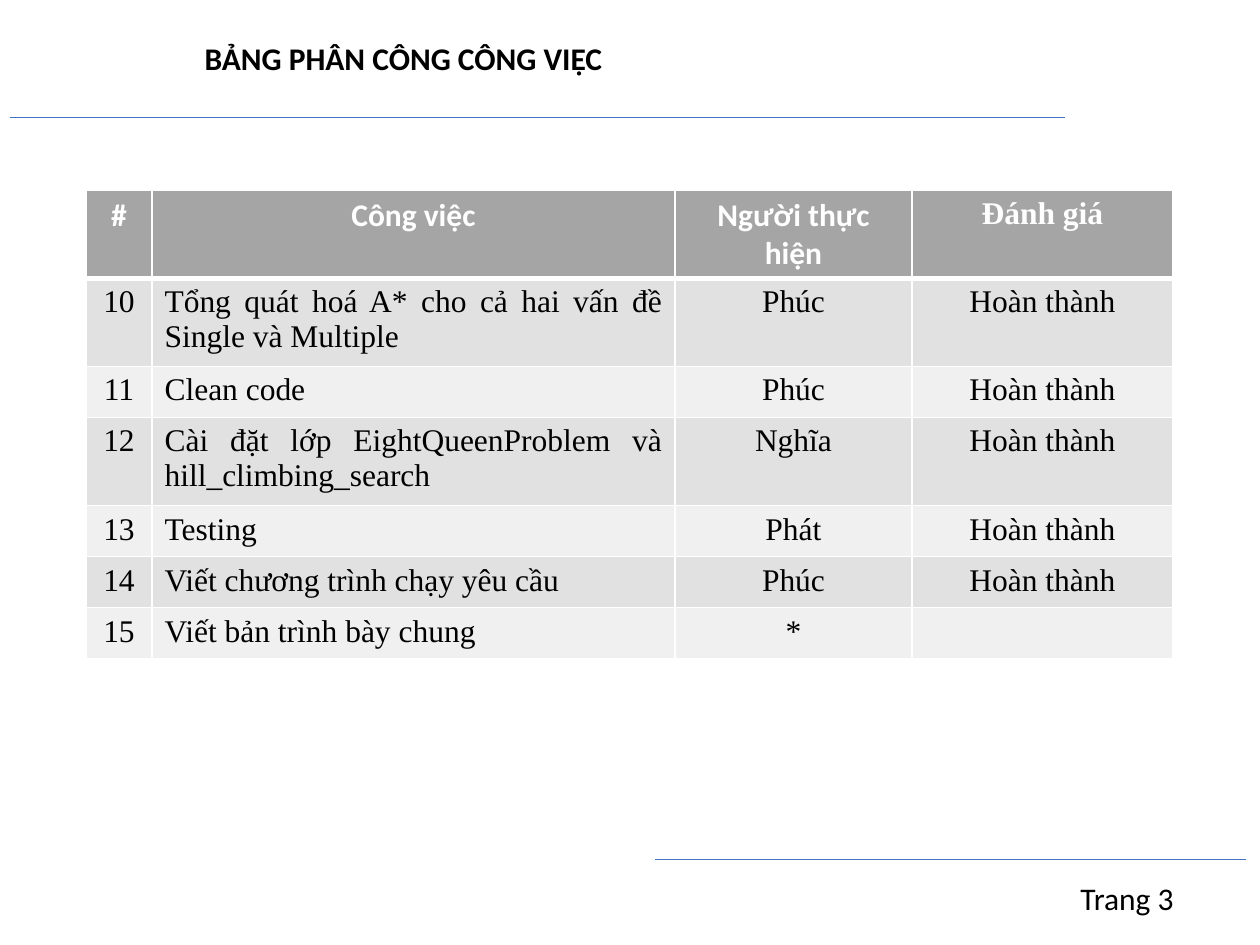
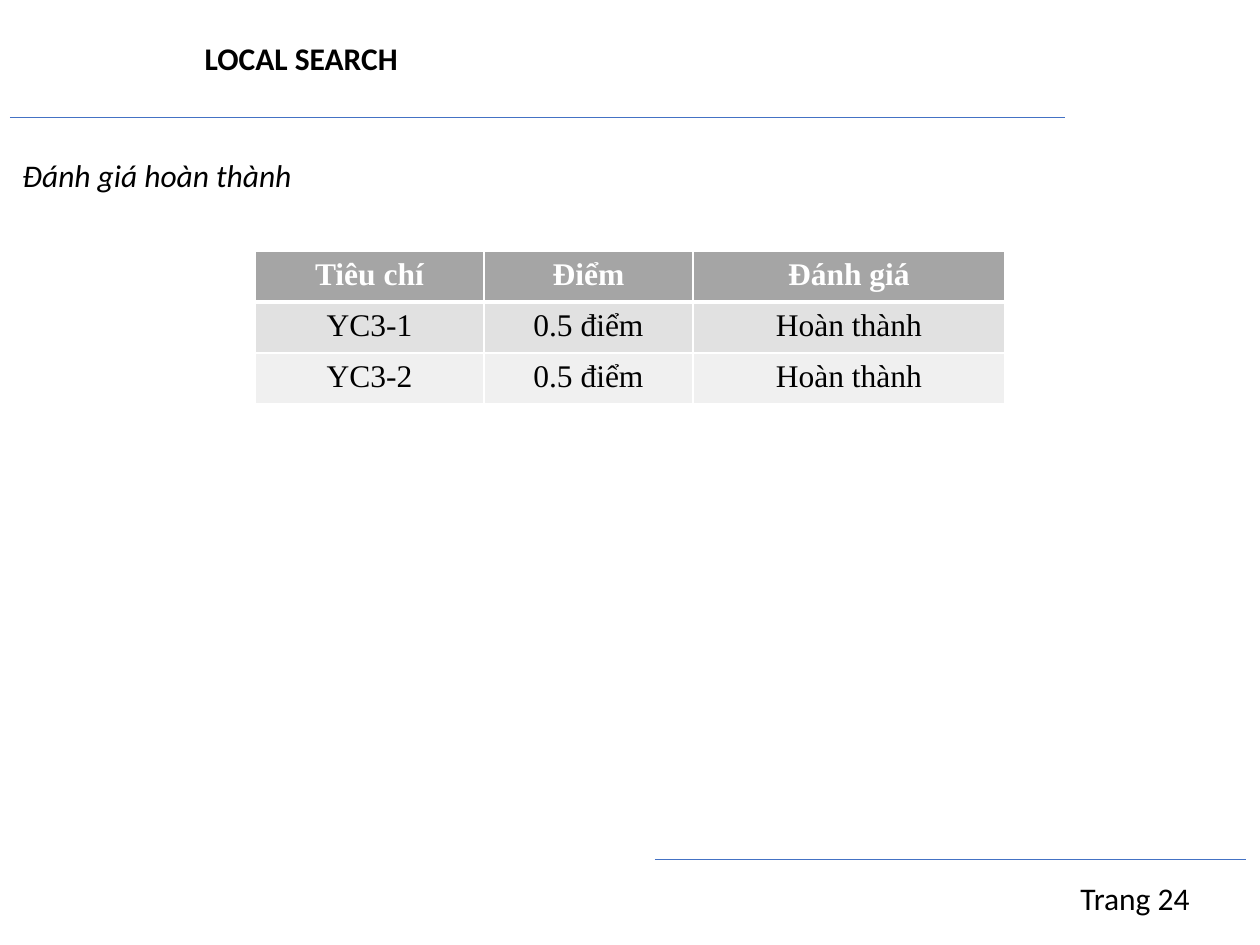
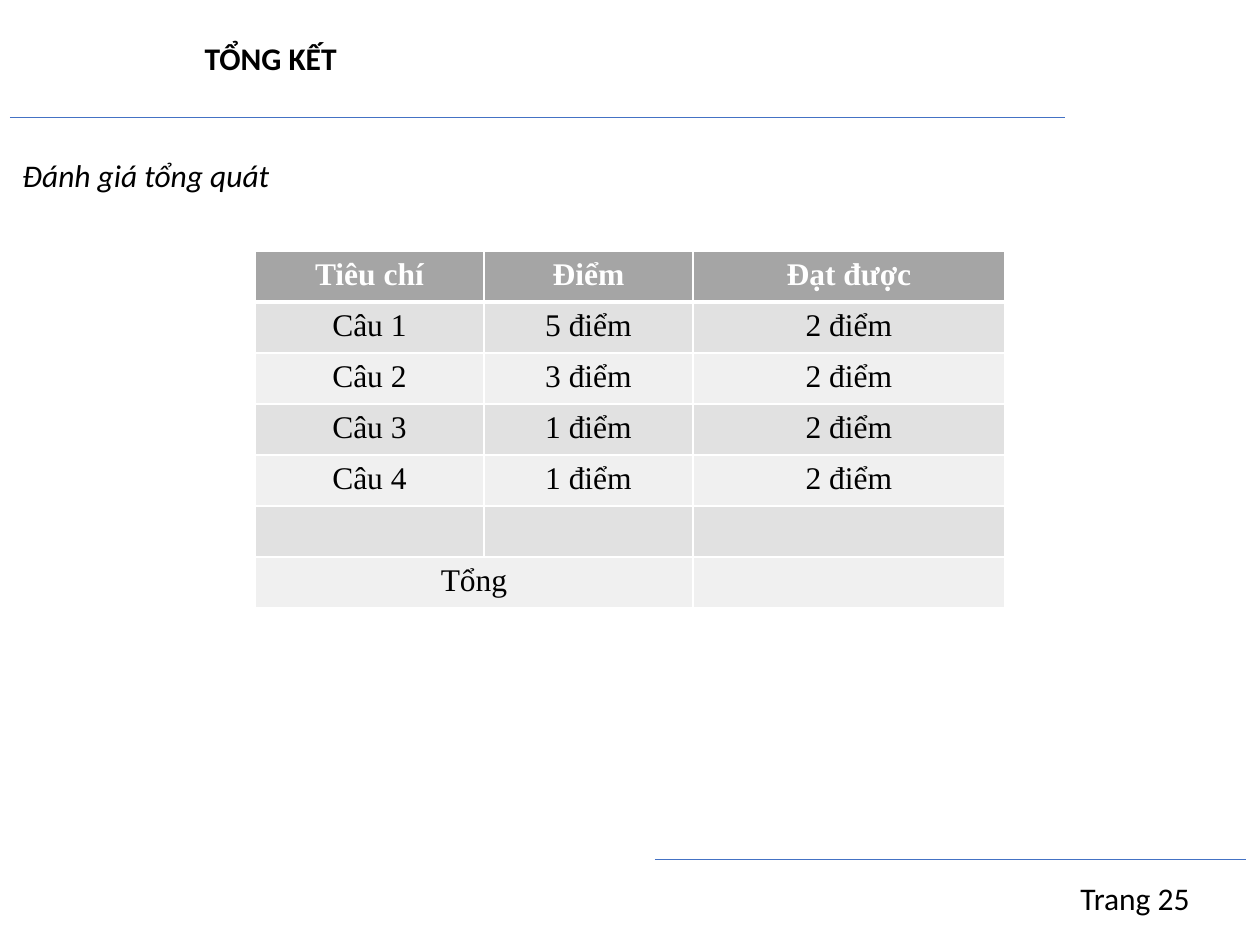
from dataclasses import dataclass

from lxml import etree
from pptx import Presentation
from pptx import util as u
from pptx.dml.color import RGBColor
from pptx.enum import shapes, text
from pptx.oxml.ns import qn

LEFT, CENTER, JUSTIFY = text.PP_ALIGN.LEFT, text.PP_ALIGN.CENTER, text.PP_ALIGN.JUSTIFY
SANS, SERIF = "Calibri", "Times New Roman"


@dataclass(frozen=True)
class Theme:
    ink: str = "000000"
    paper: str = "FFFFFF"
    rule: str = "4472C4"
    header: str = "A5A5A5"
    bands: tuple = ("E1E1E1", "F0F0F0")
    size: int = 18
    rule_width: float = 0.5
    border: int = 1
    header_border: int = 3


THEME = Theme()

# Content: a None cell joins the cell on its left
TASKS = dict(
    at=(86, 190), columns=(66, 523, 237, 261),
    header_fonts=(SANS, SANS, SANS, SERIF),
    aligns=(CENTER, JUSTIFY, CENTER, CENTER),
    two_line_rows=(0, 1, 3),
    rows=[
        ("#", "Công việc", "Người thực hiện", "Đánh giá"),
        ("10", "Tổng quát hoá A* cho cả hai vấn đề Single và Multiple", "Phúc", "Hoàn thành"),
        ("11", "Clean code", "Phúc", "Hoàn thành"),
        ("12", "Cài đặt lớp EightQueenProblem và hill_climbing_search", "Nghĩa", "Hoàn thành"),
        ("13", "Testing", "Phát", "Hoàn thành"),
        ("14", "Viết chương trình chạy yêu cầu", "Phúc", "Hoàn thành"),
        ("15", "Viết bản trình bày chung", "*", ""),
    ],
)
SCORES = dict(
    at=(255, 251), columns=(229, 209, 312),
    header_fonts=(SERIF,) * 3, aligns=(CENTER,) * 3, two_line_rows=(),
)
LOCAL_SEARCH = SCORES | dict(rows=[
    ("Tiêu chí", "Điểm", "Đánh giá"),
    ("YC3-1", "0.5 điểm", "Hoàn thành"),
    ("YC3-2", "0.5 điểm", "Hoàn thành"),
])
SUMMARY = SCORES | dict(rows=[
    ("Tiêu chí", "Điểm", "Đạt được"),
    ("Câu 1", "5 điểm", "2 điểm"),
    ("Câu 2", "3 điểm", "2 điểm"),
    ("Câu 3", "1 điểm", "2 điểm"),
    ("Câu 4", "1 điểm", "2 điểm"),
    ("", "", ""),
    ("Tổng", None, ""),
])
PAGES = [
    ("BẢNG PHÂN CÔNG CÔNG VIỆC", None, TASKS, 3),
    ("LOCAL SEARCH", "Đánh giá hoàn thành", LOCAL_SEARCH, 24),
    ("TỔNG KẾT", "Đánh giá tổng quát", SUMMARY, 25),
]

# Shared places in px
SLIDE = (1260, 945)
TITLE = (192, 33, 877, 50)
SUBTITLE = (10, 150, 297, 50)
PAGE_NUMBER = (1068, 873, 178, 50)
RULES = [(10, 1065, 117), (655, 1246, 859)]  # from x, to x, y
ONE_LINE, TWO_LINES = 51, 88


def px(n):
    return round(n * 914400 / 126)


def write(frame, words, font=SANS, color=THEME.ink, bold=False, italic=False, align=LEFT):
    paragraph = frame.paragraphs[0]
    paragraph.alignment = align
    run = paragraph.add_run()
    run.text = words
    run.font.name, run.font.size = font, u.Pt(THEME.size)
    run.font.bold, run.font.italic = bold, italic
    run.font.color.rgb = RGBColor.from_string(color)


def fit_frame(shape, wrap=True):
    frame = shape.text_frame
    frame.word_wrap = wrap
    frame.auto_size = text.MSO_AUTO_SIZE.SHAPE_TO_FIT_TEXT
    frame.vertical_anchor = text.MSO_ANCHOR.TOP
    return frame


def add_label(slide, place, words, wrap=True, **style):
    label = slide.shapes.add_textbox(*map(px, place))
    write(fit_frame(label, wrap), words, **style)


def add_rule(slide, start, end, y):
    rule = slide.shapes.add_connector(
        shapes.MSO_CONNECTOR.STRAIGHT, px(start), px(y), px(end), px(y))
    rule.line.color.rgb = RGBColor.from_string(THEME.rule)
    rule.line.width = u.Pt(THEME.rule_width)
    etree.SubElement(rule._element.spPr, qn("a:effectLst"))


def set_borders(cell, top, bottom):
    """Borders stand before the fill in the cell properties."""
    properties = cell._tc.get_or_add_tcPr()
    widths = dict(lnL=THEME.border, lnR=THEME.border, lnT=top, lnB=bottom)
    for position, (side, width) in enumerate(widths.items()):
        line = etree.Element(qn(f"a:{side}"), w=str(u.Pt(width)))
        fill = etree.SubElement(line, qn("a:solidFill"))
        etree.SubElement(fill, qn("a:srgbClr"), val=THEME.paper)
        properties.insert(position, line)


def add_grid(slide, at, columns, header_fonts, aligns, two_line_rows, rows):
    heights = [TWO_LINES if r in two_line_rows else ONE_LINE for r in range(len(rows))]
    grid = slide.shapes.add_table(
        len(rows), len(columns), *map(px, (*at, sum(columns), sum(heights)))).table
    for column, width in zip(grid.columns, columns):
        column.width = px(width)
    for r, (row, height) in enumerate(zip(rows, heights)):
        grid.rows[r].height = px(height)
        header = r == 0
        for c, words in enumerate(row):
            cell = grid.cell(r, c)
            cell.fill.solid()
            cell.fill.fore_color.rgb = RGBColor.from_string(
                THEME.header if header else THEME.bands[(r - 1) % 2])
            set_borders(cell,
                        top=THEME.header_border if r == 1 else THEME.border,
                        bottom=THEME.header_border if header else THEME.border)
            if words is None:
                grid.cell(r, c - 1).merge(cell)
            elif words:
                write(cell.text_frame, words, bold=header,
                      font=header_fonts[c] if header else SERIF,
                      color=THEME.paper if header else THEME.ink,
                      align=CENTER if header else aligns[c])


def add_page(deck, heading, subtitle, grid, number):
    slide = deck.slides.add_slide(deck.slide_layouts[5])
    title = slide.shapes.title
    title.left, title.top, title.width, title.height = map(px, TITLE)
    write(fit_frame(title), heading, bold=True)
    for rule in RULES:
        add_rule(slide, *rule)
    add_grid(slide, **grid)
    if subtitle:
        add_label(slide, SUBTITLE, subtitle, wrap=False, italic=True)
    add_label(slide, PAGE_NUMBER, f"Trang {number}")


def main():
    deck = Presentation()
    deck.slide_width, deck.slide_height = map(px, SLIDE)
    for page in PAGES:
        add_page(deck, *page)
    deck.save("out.pptx")


if __name__ == "__main__":
    main()
